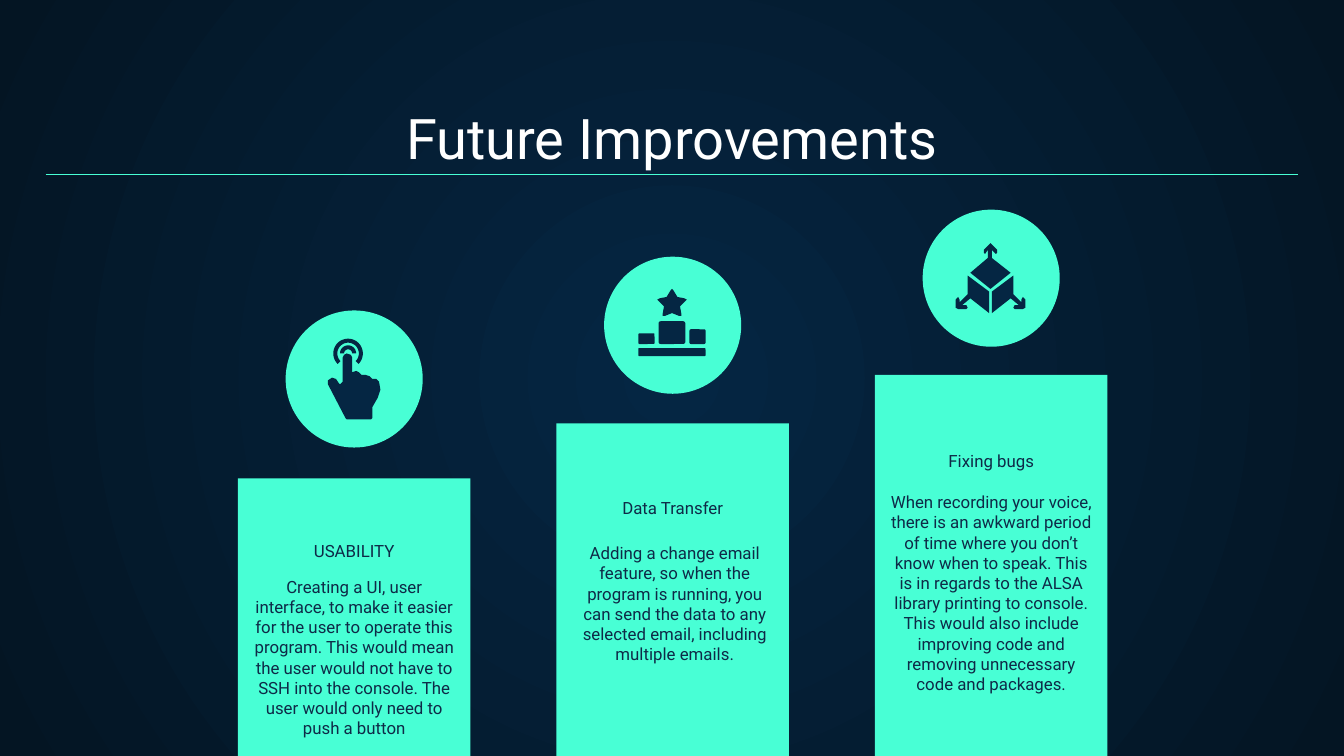
from math import cos, radians, sin

from pptx import Presentation
from pptx.dml.color import RGBColor
from pptx.enum.shapes import MSO_CONNECTOR, MSO_SHAPE
from pptx.enum.text import MSO_ANCHOR, PP_ALIGN
from pptx.oxml import parse_xml
from pptx.oxml.ns import nsdecls, qn
from pptx.util import Inches, Pt

COLORS = {"mint": "48FFD5", "navy": "052643", "night": "041523",
          "ink": "0E2A47", "white": "FFFFFF"}
FONT = "Roboto"
FIRST_LEFT, COLUMN_STEP, COLUMN_WIDTH, COLUMN_BOTTOM = 1.77, 2.37, 1.73, 5.65
CIRCLE_SIZE = 1.02
HEADING_WIDTH, HEADING_HEIGHT = 2.27, 0.32

# Heading, its top, body, its box, column top, circle top
COLUMNS = [
    ("USABILITY", 3.93,
     "Creating a UI, user interface, to make it easier for the user to operate "
     "this program. This would mean the user would not have to SSH into the "
     "console. The user would only need to push a button",
     (1.77, 4.19, 1.73, 1.14), 3.56, 2.31),
    ("Data Transfer", 3.61,
     "Adding a change email feature, so when the program is running, you can "
     "send the data to any selected email, including multiple emails.",
     (4.19, 3.94, 1.66, 1.33), 3.15, 1.91),
    ("Fixing bugs", 3.26,
     "When recording your voice, there is an awkward period of time where you "
     "don’t know when to speak. This is in regards to the ALSA library printing "
     "to console. This would also include improving code and removing "
     "unnecessary code and packages.",
     (6.51, 3.56, 1.73, 1.91), 2.79, 1.56),
]

HAND = [(2.58, 2.63), (2.56, 2.64), (2.55, 2.66), (2.55, 2.84), (2.53, 2.86),
        (2.52, 2.85), (2.5, 2.82), (2.47, 2.81), (2.44, 2.83), (2.44, 2.86),
        (2.57, 3.11), (2.58, 3.12), (2.76, 3.12), (2.77, 3.11), (2.77, 3.03),
        (2.81, 2.96), (2.83, 2.9), (2.82, 2.84), (2.8, 2.82), (2.77, 2.82),
        (2.75, 2.8), (2.72, 2.79), (2.69, 2.79), (2.67, 2.77), (2.65, 2.76),
        (2.62, 2.77), (2.62, 2.66), (2.61, 2.64)]
STAR = [(5, 2.15), (4.99, 2.16), (4.96, 2.21), (4.91, 2.22), (4.89, 2.23),
        (4.9, 2.24), (4.94, 2.28), (4.93, 2.34), (4.93, 2.35), (4.95, 2.35),
        (5, 2.33)]
PODIUM = [(4.75, 2.48, 0.12, 0.08), (4.9, 2.39, 0.2, 0.17),
          (5.13, 2.45, 0.12, 0.11), (4.75, 2.59, 0.5, 0.06)]
CUBE_RIGHT = [(7.54, 2.05), (7.38, 2.17), (7.38, 2.33), (7.52, 2.22),
              (7.58, 2.27), (7.55, 2.27), (7.54, 2.29), (7.55, 2.3),
              (7.61, 2.3), (7.63, 2.29), (7.63, 2.23), (7.61, 2.21),
              (7.6, 2.23), (7.6, 2.25), (7.54, 2.19)]
CUBE_TOP = [(7.37, 1.81), (7.36, 1.82), (7.32, 1.86), (7.32, 1.88),
            (7.33, 1.89), (7.35, 1.86), (7.35, 1.92), (7.22, 2.03), (7.37, 2.15),
            (7.52, 2.03), (7.38, 1.92), (7.38, 1.86), (7.41, 1.89),
            (7.42, 1.88), (7.42, 1.86), (7.38, 1.82)]


def color(name):
    return RGBColor.from_string(COLORS[name])


def paint(shape, name):
    shape.shadow.inherit = False
    shape.fill.solid()
    shape.fill.fore_color.rgb = color(name)
    shape.line.fill.background()


def add_solid(shapes, kind, place, name):
    shape = shapes.add_shape(kind, *map(Inches, place))
    paint(shape, name)
    return shape


def add_outline(shapes, points):
    corners = [(Inches(x), Inches(y)) for x, y in points]
    builder = shapes.build_freeform(*corners[0])
    builder.add_line_segments(corners[1:], close=True)
    paint(builder.convert_to_shape(), "navy")


def arc(center, radius, start, end):
    """Points along an arc, with degrees running clockwise from the right."""
    steps = 36
    angles = [radians(start + (end - start) * i / steps) for i in range(steps + 1)]
    return [(center[0] + radius * cos(a), center[1] + radius * sin(a))
            for a in angles]


def add_ring(shapes, center, outer, inner, start, end):
    add_outline(shapes, arc(center, outer, start, end) + arc(center, inner, end, start))


def mirror(points, axis):
    return [(2 * axis - x, y) for x, y in points]


def add_text(page, text, place, size, name, anchor=MSO_ANCHOR.TOP):
    box = page.shapes.add_textbox(*map(Inches, place))
    frame = box.text_frame
    frame.word_wrap = True
    frame.vertical_anchor = anchor
    frame.margin_left = frame.margin_right = Inches(0.1)
    frame.margin_top = frame.margin_bottom = Inches(0.1)
    para = frame.paragraphs[0]
    para.text = text
    para.alignment = PP_ALIGN.CENTER
    para.font.name, para.font.size = FONT, Pt(size)
    para.font.color.rgb = color(name)


def set_background(page):
    """Radial gradient spreading from the centre of the page."""
    fill = page.background.fill
    fill.gradient()
    for stop, name in zip(fill.gradient_stops, ("navy", "night")):
        stop.color.rgb = color(name)
    linear = next(page.element.iter(qn("a:lin")))
    linear.getparent().replace(linear, parse_xml(
        f'<a:path {nsdecls("a")} path="circle">'
        '<a:fillToRect l="50000" t="50000" r="50000" b="50000"/></a:path>'))


def add_rule(page):
    rule = page.shapes.add_connector(MSO_CONNECTOR.STRAIGHT, Inches(0.34),
                                     Inches(1.3), Inches(9.66), Inches(1.3))
    rule.line.color.rgb = color("mint")
    rule.line.width = Pt(0.75)
    rule.element.spPr.append(parse_xml(f'<a:effectLst {nsdecls("a")}/>'))


def add_column(page, left, heading, heading_top, body, body_place, top, circle_top):
    add_solid(page.shapes, MSO_SHAPE.RECTANGLE,
              (left, top, COLUMN_WIDTH, COLUMN_BOTTOM - top), "mint")
    heading_left = left + (COLUMN_WIDTH - HEADING_WIDTH) / 2
    add_text(page, heading,
             (heading_left, heading_top, HEADING_WIDTH, HEADING_HEIGHT),
             9, "ink", MSO_ANCHOR.BOTTOM)
    add_text(page, body, body_place, 9, "ink")
    circle_left = left + (COLUMN_WIDTH - CIRCLE_SIZE) / 2
    add_solid(page.shapes, MSO_SHAPE.OVAL,
              (circle_left, circle_top, CIRCLE_SIZE, CIRCLE_SIZE), "mint")


def add_touch_icon(page):
    shapes = page.shapes.add_group_shape().shapes
    add_ring(shapes, (2.59, 2.63), 0.11, 0.08, 135, 405)
    add_ring(shapes, (2.59, 2.63), 0.06, 0.03, 180, 360)
    add_outline(shapes, HAND)


def add_podium_icon(page):
    shapes = page.shapes.add_group_shape().shapes
    add_outline(shapes, STAR + mirror(STAR[-2:0:-1], 5))
    for place in PODIUM:
        block = add_solid(shapes, MSO_SHAPE.ROUNDED_RECTANGLE, place, "navy")
        block.adjustments[0] = 0.1


def add_cube_icon(page):
    shapes = page.shapes.add_group_shape().shapes
    for face in (CUBE_RIGHT, mirror(CUBE_RIGHT, 7.37), CUBE_TOP):
        add_outline(shapes, face)


def main():
    deck = Presentation()
    deck.slide_width = Inches(10)
    deck.slide_height = Inches(10 * 9 / 16)
    page = deck.slides.add_slide(deck.slide_layouts[6])
    set_background(page)
    add_text(page, "Future Improvements", (0.34, 0.71, 9.32, 0.66), 30, "white",
             MSO_ANCHOR.BOTTOM)
    for index, column in enumerate(COLUMNS):
        add_column(page, FIRST_LEFT + index * COLUMN_STEP, *column)
    add_touch_icon(page)
    add_podium_icon(page)
    add_cube_icon(page)
    add_rule(page)
    deck.save("out.pptx")


if __name__ == "__main__":
    main()
